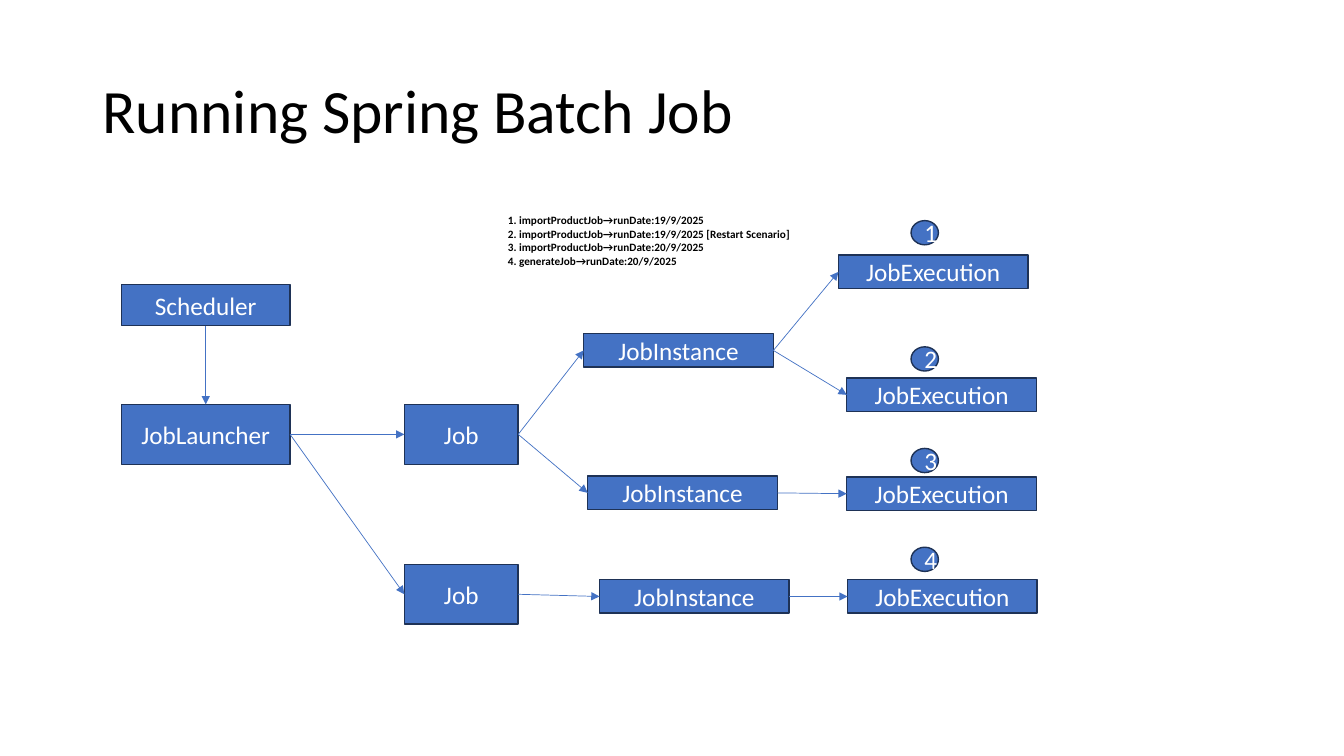
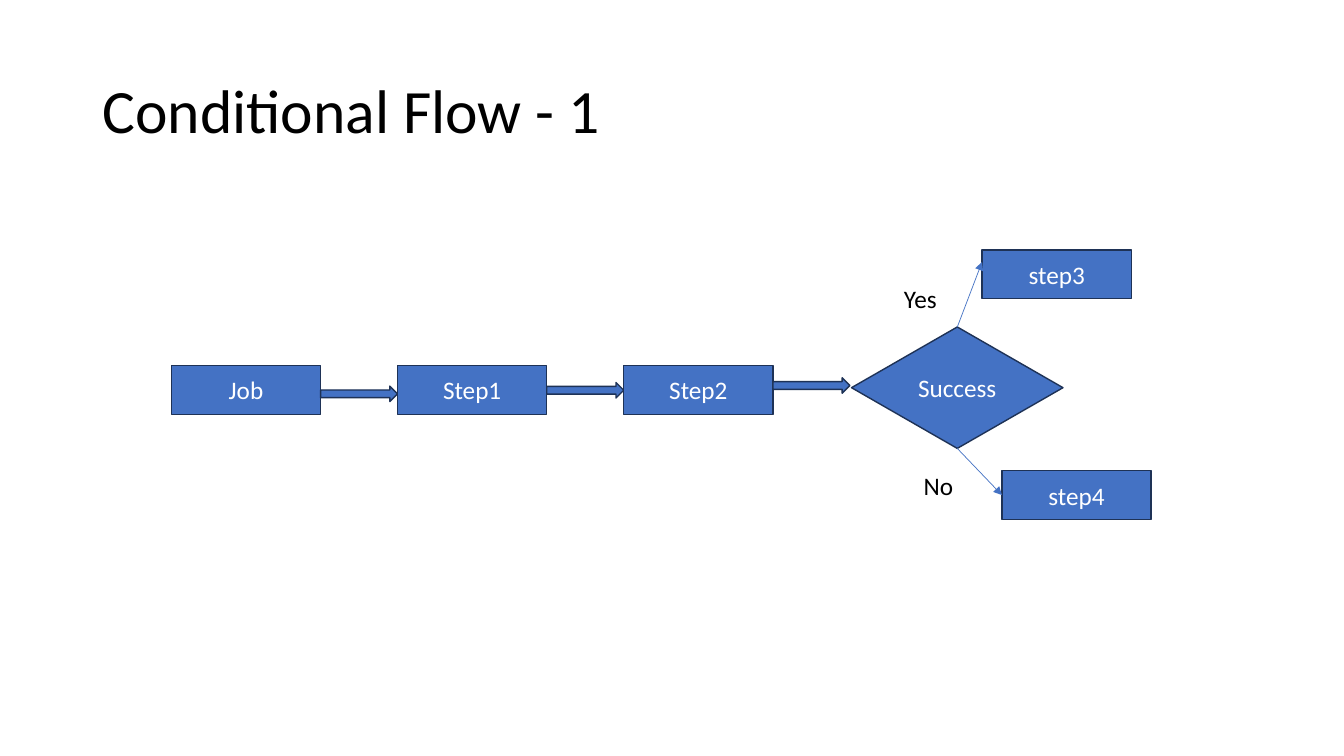
from lxml.etree import SubElement
from pptx import Presentation
from pptx.dml.color import RGBColor
from pptx.enum.shapes import MSO_CONNECTOR, MSO_SHAPE as Preset
from pptx.enum.text import MSO_ANCHOR, MSO_AUTO_SIZE, PP_ALIGN
from pptx.oxml.ns import qn
from pptx.util import Cm, Pt

# Shared look
FONT = "Calibri"
BLUE, NAVY, BLACK, WHITE = "4472C4", "1E3256", "000000", "FFFFFF"
TITLE_AREA = (2.33, 1.01, 29.21, 3.68)
TITLE_ONLY = 5

# Connection sites of rectangles and diamonds
TOP, LEFT, BOTTOM, RIGHT = range(4)


def color(hex_string):
    return RGBColor.from_string(hex_string)


def style_paragraph(paragraph, size, hex_string, bold=False):
    paragraph.font.name = FONT
    paragraph.font.size = Pt(size)
    paragraph.font.bold = bold
    paragraph.font.color.rgb = color(hex_string)


def add_titled_slide(presentation, text):
    slide = presentation.slides.add_slide(presentation.slide_layouts[TITLE_ONLY])
    title = slide.shapes.title
    title.left, title.top, title.width, title.height = map(Cm, TITLE_AREA)
    frame = title.text_frame
    frame.text = text
    frame.vertical_anchor = MSO_ANCHOR.MIDDLE
    paragraph = frame.paragraphs[0]
    paragraph.alignment = PP_ALIGN.LEFT
    paragraph.line_spacing = 0.9
    style_paragraph(paragraph, 44, BLACK)
    return slide


def add_node(slide, left, top, width, height, text="", preset=Preset.RECTANGLE):
    shape = slide.shapes.add_shape(preset, Cm(left), Cm(top), Cm(width), Cm(height))
    shape.shadow.inherit = False
    shape.fill.solid()
    shape.fill.fore_color.rgb = color(BLUE)
    shape.line.color.rgb = color(NAVY)
    shape.line.width = Pt(1)
    if text:
        shape.text_frame.text = text
        paragraph = shape.text_frame.paragraphs[0]
        paragraph.alignment = PP_ALIGN.CENTER
        style_paragraph(paragraph, 18, WHITE)
    return shape


def add_text(slide, left, top, width, height, lines, size, bold=False):
    box = slide.shapes.add_textbox(Cm(left), Cm(top), Cm(width), Cm(height))
    frame = box.text_frame
    frame.word_wrap = True
    frame.auto_size = MSO_AUTO_SIZE.SHAPE_TO_FIT_TEXT
    frame.text = "\n".join(lines)
    for paragraph in frame.paragraphs:
        style_paragraph(paragraph, size, BLACK, bold)


def connect(slide, start, end, start_site=RIGHT, end_site=LEFT, end_y=None):
    """Join two shapes with an arrow; end_y places its tip off the site."""
    connector = slide.shapes.add_connector(
        MSO_CONNECTOR.STRAIGHT, 0, 0, end.left, Cm(end_y or 0))
    connector.begin_connect(start, start_site)
    if end_y is None:
        connector.end_connect(end, end_site)
    connector.line.color.rgb = color(BLUE)
    connector.line.width = Pt(0.5)
    SubElement(connector.line._get_or_add_ln(), qn("a:tailEnd"), type="triangle")
    SubElement(connector._element.spPr, qn("a:effectLst"))


def build_job_slide(presentation):
    slide = add_titled_slide(presentation, "Running Spring Batch Job")

    # Launching side
    scheduler = add_node(slide, 3.06, 7.17, 4.25, 1.04, "Scheduler")
    launcher = add_node(slide, 3.06, 10.19, 4.25, 1.51, "JobLauncher")
    jobs = [add_node(slide, 10.19, top, 2.87, 1.51, "Job")
            for top in (10.19, 14.22)]

    # Instances and their numbered executions
    instances = [add_node(slide, left, top, 4.78, 0.84, "JobInstance")
                 for left, top in ((14.71, 8.41), (14.81, 12), (15.11, 14.61))]
    executions = [add_node(slide, left, top, 4.78, 0.84, "JobExecution")
                  for left, top in ((21.13, 6.43), (21.34, 9.53),
                                    (21.34, 12.02), (21.36, 14.61))]
    for number, top in enumerate((5.56, 8.74, 11.3, 13.79), 1):
        add_node(slide, 22.96, top, 0.69, 0.61, str(number), Preset.OVAL)

    add_text(slide, 12.55, 5.26, 8.23, 1.63, (
        "1. importProductJob→runDate:19/9/2025",
        "2. importProductJob→runDate:19/9/2025 [Restart Scenario]",
        "3. importProductJob→runDate:20/9/2025",
        "4. generateJob→runDate:20/9/2025"), 8, bold=True)

    # Arrows
    connect(slide, scheduler, launcher, BOTTOM, TOP)
    for job in jobs:
        connect(slide, launcher, job)
    for job, instance in zip((jobs[0], jobs[0], jobs[1]), instances):
        connect(slide, job, instance)
    for instance, execution in zip((instances[0], *instances), executions):
        connect(slide, instance, execution)


def build_flow_slide(presentation):
    slide = add_titled_slide(presentation, "Conditional Flow - 1")
    step_width, step_height, pitch = 3.76, 1.23, 5.7

    # Main row
    for column, (text, arrow_top) in enumerate(
            (("Job", 9.73), ("Step1", 9.64), ("Step2", 9.52))):
        left = 4.32 + column * pitch
        add_node(slide, left, 9.21, step_width, step_height, text)
        add_node(slide, left + step_width, arrow_top, 1.94, 0.39,
                 preset=Preset.RIGHT_ARROW)

    # Decision and its branches
    decision = add_node(slide, 21.46, 8.24, 5.33, 3.06, "Success", Preset.DIAMOND)
    step3 = add_node(slide, 24.75, 6.3, step_width, step_height, "step3")
    step4 = add_node(slide, 25.25, 11.86, step_width, step_height, "step4")
    connect(slide, decision, step3, TOP, end_y=6.6)
    connect(slide, decision, step4, BOTTOM)
    add_text(slide, 22.53, 7.02, 2.24, 1.03, ["Yes"], 18)
    add_text(slide, 23.03, 11.72, 2.24, 1.03, ["No"], 18)


def main():
    presentation = Presentation()
    presentation.slide_width, presentation.slide_height = Cm(33.87), Cm(19.05)
    build_job_slide(presentation)
    build_flow_slide(presentation)
    presentation.save("out.pptx")


if __name__ == "__main__":
    main()
